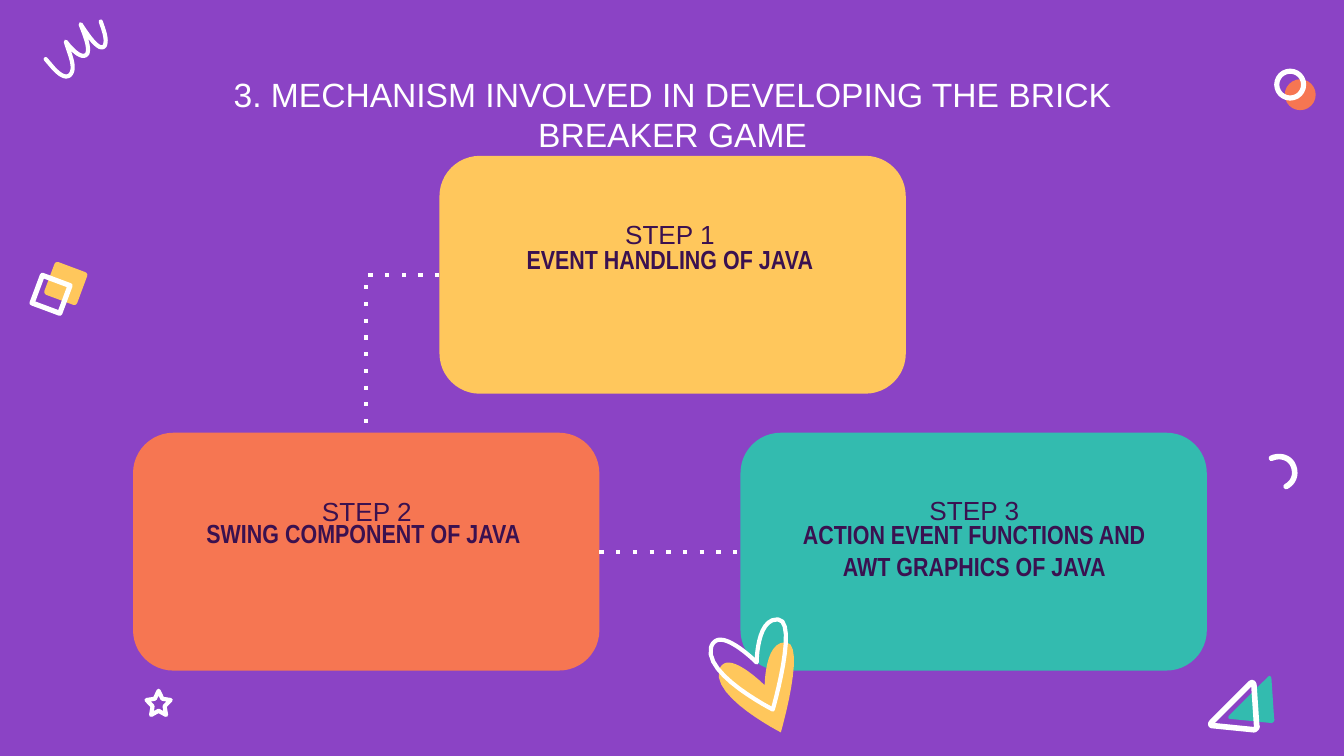
from lxml.etree import SubElement
from pptx import Presentation
from pptx.dml.color import RGBColor
from pptx.enum.dml import MSO_LINE
from pptx.enum.shapes import MSO_CONNECTOR as CONN, MSO_SHAPE as SHAPE
from pptx.enum.text import MSO_ANCHOR as ANCHOR, MSO_AUTO_SIZE as AUTO, PP_ALIGN as ALIGN
from pptx.oxml.ns import qn
from pptx.util import Inches, Pt

PURPLE, WHITE, INK = "8B43C5", "FFFFFF", "3A1150"
YELLOW, ORANGE, TEAL = "FFC75C", "F67652", "33BBAF"

SLIDE_W = 10
SLIDE_H = SLIDE_W * 9 / 16
TITLE = "3. MECHANISM INVOLVED IN DEVELOPING THE BRICK BREAKER GAME"
CARD_W, CARD_H = 3.47, 1.77
STEPS = [
    dict(name="STEP 1", body="EVENT HANDLING OF JAVA", fill=YELLOW,
         card=(3.27, 1.16), head=(3.49, 1.4), text=(3.49, 1.71), widths=(2.99, 2.99)),
    dict(name="STEP 2", body="SWING COMPONENT OF JAVA ", fill=ORANGE,
         card=(0.99, 3.22), head=(1.33, 3.46), text=(1.23, 3.75), widths=(2.8, 2.99)),
    dict(name="STEP 3", body="ACTION EVENT FUNCTIONS AND AWT GRAPHICS OF JAVA", fill=TEAL,
         card=(5.51, 3.22), head=(5.85, 3.45), text=(5.85, 3.76), widths=(2.8, 2.8)),
]
TOP, LEFT, RIGHT = 0, 1, 3
LINKS = [(0, LEFT, 1, TOP, "bentConnector2"), (1, RIGHT, 2, LEFT, "bentConnector3")]

PRESETS = [
    (SHAPE.ROUNDED_RECTANGLE, (0.36, 1.98, 0.26, 0.26), dict(fill=YELLOW, rot=20.4, adj=0.09)),
    (SHAPE.RECTANGLE, (0.27, 2.08, 0.22, 0.22), dict(line=WHITE, width=2.75, rot=20.4)),
    (SHAPE.OVAL, (9.56, 0.59, 0.23, 0.23), dict(fill=ORANGE)),
    (SHAPE.OVAL, (9.5, 0.53, 0.2, 0.2), dict(line=WHITE, width=2.75)),
    (SHAPE.STAR_5_POINT, (1.09, 5.14, 0.18, 0.18), dict(line=WHITE, width=2.25, adj=0.25)),
]
TRIANGLE = [(9.45, 5.03), (9.44, 5.03, 9.44, 5.03, 9.43, 5.04), (9.15, 5.32),
            (9.13, 5.34, 9.14, 5.35, 9.16, 5.35), (9.46, 5.38),
            (9.47, 5.38, 9.49, 5.36, 9.48, 5.35), (9.46, 5.05),
            (9.46, 5.04, 9.45, 5.03, 9.45, 5.03)]
HEART = [(5.84, 4.78), (5.69, 4.78, 5.69, 5.1, 5.69, 5.1),
         (5.69, 5.1, 5.52, 4.93, 5.42, 4.93), (5.39, 4.93, 5.36, 4.95, 5.35, 4.99),
         (5.3, 5.19, 5.81, 5.45, 5.81, 5.45), (5.81, 5.45, 6, 4.79, 5.85, 4.78)]
ARC = [(9.46, 3.41), (9.53, 3.38, 9.6, 3.41, 9.62, 3.46), (9.65, 3.52, 9.63, 3.59, 9.57, 3.62)]
SQUIGGLE = [(0.34, 0.44), (0.4, 0.51), (0.43, 0.54, 0.48, 0.59, 0.52, 0.56),
            (0.57, 0.51, 0.52, 0.41, 0.49, 0.31), (0.51, 0.34, 0.61, 0.46, 0.65, 0.4),
            (0.67, 0.35, 0.63, 0.26, 0.6, 0.18), (0.64, 0.24, 0.74, 0.4, 0.78, 0.34),
            (0.8, 0.29, 0.77, 0.22, 0.75, 0.16)]


def rgb(value):
    """Turn a hex string into a colour."""
    return RGBColor.from_string(value)


def style(sp, fill=None, line=None, width=1, rot=0, adj=None):
    """Set fill, rounded outline, rotation and adjustment of a shape."""
    sp.shadow.inherit = False
    sp.rotation = rot
    if adj is not None:
        sp.adjustments[0] = adj
    if fill:
        sp.fill.solid()
        sp.fill.fore_color.rgb = rgb(fill)
    else:
        sp.fill.background()
    if line:
        sp.line.color.rgb = rgb(line)
        sp.line.width = Pt(width)
        ln = sp._element.spPr.find(qn("a:ln"))
        ln.set("cap", "rnd")
        SubElement(ln, qn("a:round"))
    else:
        sp.line.fill.background()
    return sp


def preset(slide, kind, box, **fmt):
    """Add a preset shape at a box in inches."""
    return style(slide.shapes.add_shape(kind, *map(Inches, box)), **fmt)


def trace(segments, steps=12):
    """Turn line and cubic segments into points."""
    points = [segments[0]]
    for seg in segments[1:]:
        if len(seg) == 2:
            points.append(seg)
            continue
        ends = [points[-1], seg[:2], seg[2:4], seg[4:]]
        for i in range(1, steps + 1):
            t = i / steps
            weights = ((1 - t) ** 3, 3 * t * (1 - t) ** 2, 3 * t * t * (1 - t), t ** 3)
            points.append(tuple(sum(w * e[axis] for w, e in zip(weights, ends))
                                for axis in (0, 1)))
    return points


def outline(slide, segments, dx=0, dy=0, close=True, **fmt):
    """Add a freeform, shifted by dx and dy inches."""
    points = [(Inches(x + dx), Inches(y + dy)) for x, y in trace(segments)]
    builder = slide.shapes.build_freeform(*points[0])
    builder.add_line_segments(points[1:], close=close)
    return style(builder.convert_to_shape(), **fmt)


def write(sp, text, font="Arial", size=14, color=INK, bold=False, anchor=ANCHOR.TOP, bottom=0):
    """Put one centred paragraph into a shape."""
    tf = sp.text_frame
    tf.word_wrap, tf.auto_size, tf.vertical_anchor = True, AUTO.NONE, anchor
    tf.margin_left = tf.margin_right = tf.margin_top = Inches(0.1)
    tf.margin_bottom = Inches(bottom)
    p = tf.paragraphs[0]
    p.alignment = ALIGN.CENTER
    r = p.add_run()
    r.text = text
    r.font.name, r.font.size, r.font.bold = font, Pt(size), bold
    r.font.color.rgb = rgb(color)


def link(slide, start, start_site, end, end_site, geometry):
    """Join two cards with a dotted elbow connector."""
    c = slide.shapes.add_connector(CONN.ELBOW, 0, 0, 0, 0)
    c.begin_connect(start, start_site)
    c.end_connect(end, end_site)
    c.line.color.rgb = rgb(WHITE)
    c.line.width = Pt(2.25)
    c.line.dash_style = MSO_LINE.ROUND_DOT
    props = c._element.spPr
    props.find(qn("a:prstGeom")).set("prst", geometry)
    props.find(qn("a:ln")).find(qn("a:prstDash")).set("val", "dot")
    SubElement(props, qn("a:effectLst"))


def main():
    """Build the slide and save it."""
    prs = Presentation()
    prs.slide_width, prs.slide_height = Inches(SLIDE_W), Inches(SLIDE_H)
    slide = prs.slides.add_slide(prs.slide_layouts[5])
    slide.background.fill.solid()
    slide.background.fill.fore_color.rgb = rgb(PURPLE)

    title = slide.shapes.title
    title.left, title.top, title.width, title.height = map(Inches, (1.03, 0.45, 7.95, 0.6))
    write(title, TITLE, size=18, color=WHITE, bottom=0.1)

    for kind, box, fmt in PRESETS:
        preset(slide, kind, box, **fmt)
    outline(slide, TRIANGLE, fill=TEAL)
    outline(slide, TRIANGLE, dx=-0.13, dy=0.05, line=WHITE, width=3)
    outline(slide, ARC, close=False, line=WHITE, width=3)
    outline(slide, SQUIGGLE, close=False, line=WHITE, width=2.25)

    cards = [preset(slide, SHAPE.ROUNDED_RECTANGLE, (*s["card"], CARD_W, CARD_H),
                    fill=s["fill"], adj=0.17) for s in STEPS]
    for s in STEPS:
        head_w, text_w = s["widths"]
        head = slide.shapes.add_textbox(*map(Inches, (*s["head"], head_w, 0.59)))
        write(head, s["name"], anchor=ANCHOR.MIDDLE)
        body = slide.shapes.add_textbox(*map(Inches, (*s["text"], text_w, 0.85)))
        write(body, s["body"], font="Arial Narrow", bold=True)
    for a, a_site, b, b_site, geometry in LINKS:
        link(slide, cards[a], a_site, cards[b], b_site, geometry)

    outline(slide, HEART, fill=YELLOW)
    outline(slide, HEART, dx=-0.06, dy=-0.17, line=WHITE, width=2.25)
    prs.save("out.pptx")


if __name__ == "__main__":
    main()
